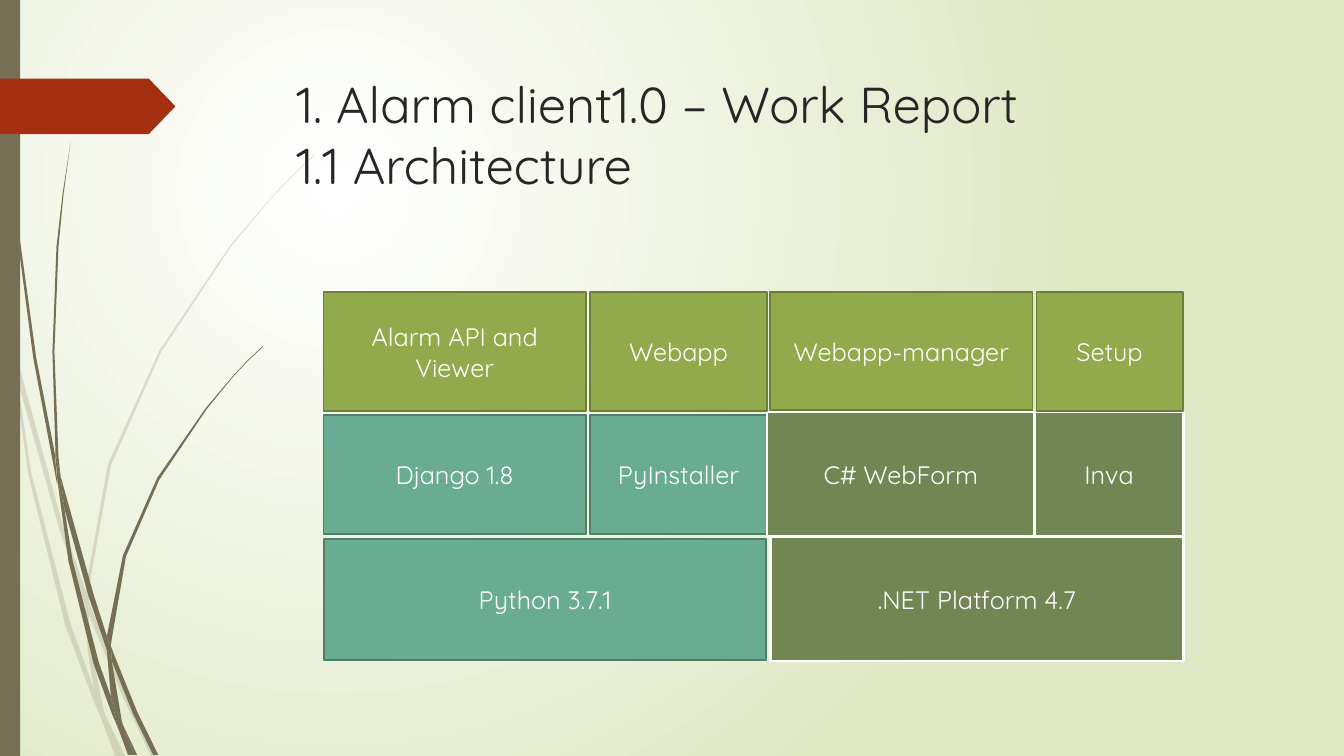
"""Build the architecture slide of the alarm client work report."""
import dataclasses
import typing

import pptx
import pptx.dml.color
import pptx.enum.shapes
import pptx.enum.text
import pptx.oxml
import pptx.oxml.ns
import pptx.util

PX = 9144
FONT = "Quicksand"
HUES = {
    "white": "FFFFFF", "pale": "DFE8C4", "stem": "766F54", "red": "A53010",
    "ink": "262626", "lime": "92AA4C", "moss": "6C7E38", "teal": "6AAC91",
    "pine": "4E7F6B", "olive": "728653",
}
KIND = pptx.enum.shapes.MSO_SHAPE


@dataclasses.dataclass
class Style:
    fill: str
    line: str
    width: float


@dataclasses.dataclass
class Box:
    text: str
    left: int
    top: int
    wide: int
    high: int
    style: Style


@dataclasses.dataclass
class Tuft:
    alpha: int
    blades: list[list[tuple[int, int]]]


LIME = Style("lime", "moss", 1.25)
TEAL = Style("teal", "pine", 1.25)
OLIVE = Style("olive", "white", 1.75)

BOXES = [
    Box("Django 1.8", 321, 412, 260, 118, TEAL),
    Box("PyInstaller", 585, 412, 176, 118, TEAL),
    Box("C# WebForm", 761, 409, 265, 123, OLIVE),
    Box("Inva", 1026, 409, 148, 123, OLIVE),
    Box("Python 3.7.1", 321, 535, 439, 120, TEAL),
    Box(".NET Platform 4.7", 764, 533, 410, 123, OLIVE),
    Box("Alarm API and Viewer", 321, 290, 260, 118, LIME),
    Box("Webapp", 585, 290, 176, 118, LIME),
    Box("Webapp-manager", 764, 290, 260, 117, LIME),
    Box("Setup", 1028, 290, 145, 118, LIME),
]

PALE = Tuft(20, [
    [(11, 350), (9, 322), (0, 282), (0, 299), (10, 344)],
    [(58, 522), (84, 599), (85, 586), (62, 520), (14, 345), (17, 376)],
    [(92, 607), (88, 596), (88, 610), (123, 694), (150, 750), (155, 750),
     (127, 692)],
    [(119, 750), (124, 750), (105, 711)],
    [(93, 683), (70, 619), (31, 469), (17, 376), (11, 350), (28, 470),
     (65, 621), (92, 693), (101, 714), (99, 707)],
    [(84, 599), (87, 646), (93, 683), (96, 692), (105, 711), (103, 706),
     (91, 646), (88, 610), (88, 608)],
    [(88, 584), (110, 462), (160, 349), (229, 245), (268, 198), (290, 175),
     (312, 154), (312, 153), (289, 175), (268, 197), (228, 244), (158, 348),
     (107, 461), (85, 584), (85, 586), (88, 596)],
    [(101, 714), (114, 750), (119, 750)],
    [(88, 608), (88, 610), (88, 596), (85, 586), (84, 599)],
    [(96, 692), (93, 683), (99, 707), (101, 714), (119, 750), (105, 711)],
])
DARK = Tuft(100, [
    [(7, 110), (17, 233), (33, 355), (56, 477), (57, 481), (55, 457),
     (55, 453), (36, 355), (19, 232), (8, 109), (5, 48), (4, 0), (3, 0),
     (4, 48)],
    [(88, 592), (106, 645), (106, 633), (106, 631), (93, 590), (60, 472),
     (64, 505)],
    [(113, 649), (110, 641), (111, 656), (132, 708), (152, 749), (157, 749),
     (136, 706)],
    [(110, 691), (98, 657), (72, 556), (64, 505), (57, 477), (68, 557),
     (93, 659), (111, 708), (117, 722), (116, 717)],
    [(60, 472), (58, 453), (54, 349), (58, 245), (63, 193), (70, 141),
     (62, 193), (56, 245), (52, 349), (55, 449)],
    [(133, 749), (136, 749), (122, 719)],
    [(57, 477), (64, 505), (60, 472), (55, 449), (55, 453)],
    [(111, 633), (125, 552), (158, 476), (205, 406), (231, 374), (245, 359),
     (261, 344), (260, 344), (245, 358), (231, 373), (204, 405), (156, 474),
     (122, 551), (106, 631), (110, 641)],
    [(117, 722), (127, 749), (131, 749)],
    [(106, 645), (110, 691), (116, 706), (122, 719), (121, 716), (111, 656),
     (109, 651)],
    [(106, 645), (109, 651), (111, 656), (110, 641), (106, 631), (106, 633)],
    [(116, 706), (110, 691), (116, 717), (117, 722), (130, 749), (133, 749),
     (122, 719)],
])


def emu(px: int) -> int:
    """Turn px into EMU."""
    return px * PX


def tint(name: str) -> pptx.dml.color.RGBColor:
    """Look up a named colour."""
    return pptx.dml.color.RGBColor.from_string(HUES[name])


def paint(shape: typing.Any, hue: str) -> None:
    """Fill a shape flat, with no line or shadow."""
    shape.shadow.inherit = False
    shape.fill.solid()
    shape.fill.fore_color.rgb = tint(hue)
    shape.line.fill.background()


def write(para: typing.Any, text: str, size: int, hue: str) -> None:
    """Add one run of text."""
    run = para.add_run()
    run.text = text
    run.font.name = FONT
    run.font.size = pptx.util.Pt(size)
    run.font.color.rgb = tint(hue)


def grow(slide: typing.Any, tuft: Tuft) -> None:
    """Draw a tuft of grass, blade by blade."""
    for blade in tuft.blades:
        pen = slide.shapes.build_freeform(*blade[0], scale=PX)
        pen.add_line_segments(blade[1:], close=True)
        shape = pen.convert_to_shape()
        paint(shape, "stem")
        if tuft.alpha < 100:
            hue = shape.element.spPr.find(".//" + pptx.oxml.ns.qn("a:srgbClr"))
            hue.append(pptx.oxml.parse_xml(
                f'<a:alpha {pptx.oxml.ns.nsdecls("a")} val="{tuft.alpha * 1000}"/>'))


def place(slide: typing.Any, box: Box) -> None:
    """Draw a box with its label."""
    area = map(emu, (box.left, box.top, box.wide, box.high))
    shape = slide.shapes.add_shape(KIND.RECTANGLE, *area)
    paint(shape, box.style.fill)
    shape.line.color.rgb = tint(box.style.line)
    shape.line.width = pptx.util.Pt(box.style.width)
    frame = shape.text_frame
    frame.word_wrap = True
    frame.vertical_anchor = pptx.enum.text.MSO_ANCHOR.MIDDLE
    frame.paragraphs[0].alignment = pptx.enum.text.PP_ALIGN.CENTER
    write(frame.paragraphs[0], box.text, 18, "white")


def shade(slide: typing.Any) -> None:
    """Give the slide a round glow."""
    fill = slide.background.fill
    fill.gradient()
    for stop, hue in zip(fill.gradient_stops, ("white", "pale")):
        stop.color.rgb = tint(hue)
    line = slide.element.find(".//" + pptx.oxml.ns.qn("a:lin"))
    line.getparent().replace(line, pptx.oxml.parse_xml(
        f'<a:path {pptx.oxml.ns.nsdecls("a")} path="circle">'
        '<a:fillToRect l="50000" t="50000" r="100000" b="100000"/></a:path>'))


def head(slide: typing.Any) -> None:
    """Move, fill and raise the title."""
    title = slide.shapes.title
    title.left, title.top, title.width, title.height = map(
        emu, (284, 68, 975, 140))
    frame = title.text_frame
    frame.word_wrap = True
    frame.auto_size = pptx.enum.text.MSO_AUTO_SIZE.NONE
    frame.vertical_anchor = pptx.enum.text.MSO_ANCHOR.TOP
    para = frame.paragraphs[0]
    para.alignment = pptx.enum.text.PP_ALIGN.LEFT
    write(para, "1. Alarm client1.0 – Work Report", 36, "ink")
    para.add_line_break()
    write(para, "1.1 Architecture", 36, "ink")
    slide.shapes.element.append(title.element)


def main() -> None:
    """Build and save the slide."""
    deck = pptx.Presentation()
    deck.slide_width, deck.slide_height = emu(1333), emu(750)
    slide = deck.slides.add_slide(deck.slide_layouts[5])
    shade(slide)
    for tuft in (PALE, DARK):
        grow(slide, tuft)
    bar = slide.shapes.add_shape(KIND.RECTANGLE, 0, 0, emu(20), emu(750))
    paint(bar, "stem")
    flag = slide.shapes.add_shape(KIND.PENTAGON, 0, emu(78), emu(174), emu(55))
    flag.adjustments[0] = 0.48
    paint(flag, "red")
    head(slide)
    for box in BOXES:
        place(slide, box)
    deck.save("out.pptx")


if __name__ == "__main__":
    main()
